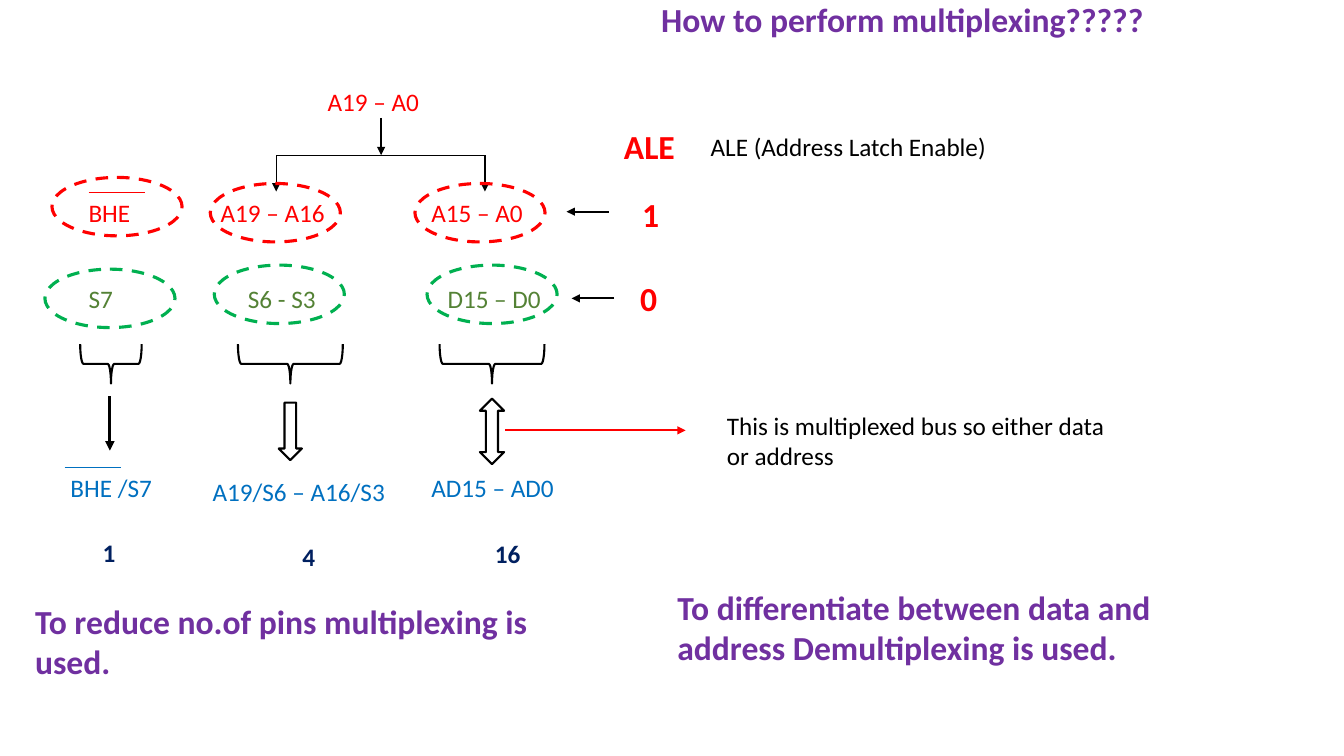
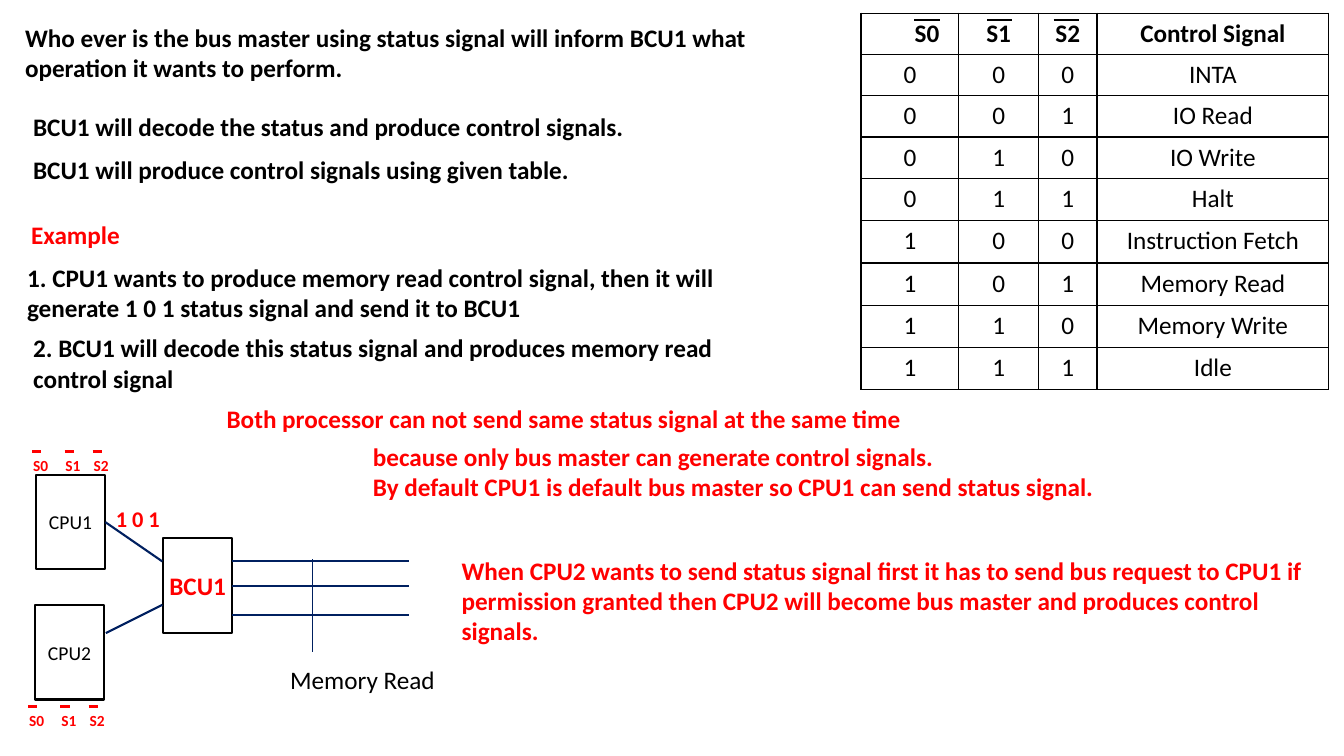
from pptx import Presentation
from pptx.dml.color import RGBColor
from pptx.enum.dml import MSO_LINE
from pptx.enum.shapes import MSO_CONNECTOR, MSO_SHAPE
from pptx.enum.text import MSO_ANCHOR, MSO_AUTO_SIZE, PP_ALIGN
from pptx.oxml.ns import qn
from pptx.util import Inches, Pt
from lxml.etree import SubElement

FONT = "Calibri"
COLOURS = {
    "black": "000000",
    "red": "FF0000",
    "green": "00B050",
    "olive": "548235",
    "blue": "0070C0",
    "navy": "002060",
    "purple": "7030A0",
}
RIGHT_SIDE = 3


def rgb(colour):
    return RGBColor.from_string(COLOURS[colour])


def write(frame, text, size=18, colour="black", bold=False, align=PP_ALIGN.LEFT):
    """Fill a text frame, one paragraph for each line of text."""
    for index, line in enumerate(text.split("\n")):
        para = frame.paragraphs[0] if index == 0 else frame.add_paragraph()
        para.alignment = align
        span = para.add_run()
        span.text = line
        span.font.name = FONT
        span.font.size = Pt(size)
        span.font.bold = bold
        span.font.color.rgb = rgb(colour)


def add_text(page, text, left, top, width, lines=1, wrap=True, size=18, **style):
    """Add a text box whose height follows from its number of lines."""
    height = 0.1 + lines * size * 1.22 / 72
    box = page.shapes.add_textbox(Inches(left), Inches(top), Inches(width), Inches(height))
    box.text_frame.word_wrap = wrap
    box.text_frame.auto_size = MSO_AUTO_SIZE.SHAPE_TO_FIT_TEXT
    write(box.text_frame, text, size=size, **style)


def add_outline(page, kind, centre, size, colour="black", weight=1.5, dash=None, turn=0):
    """Add an unfilled shape around a centre point; size is taken before the turn."""
    (x, y), (width, height) = centre, size
    shape = page.shapes.add_shape(
        kind, Inches(x - width / 2), Inches(y - height / 2), Inches(width), Inches(height))
    shape.shadow.inherit = False
    shape.fill.background()
    shape.line.color.rgb = rgb(colour)
    shape.line.width = Pt(weight)
    if dash:
        shape.line.dash_style = dash
    shape.rotation = turn
    return shape


def add_line(page, start, end, colour="black", weight=1.5, arrow=False, source=None):
    """Draw a line, joined to the right side of the source shape if there is one."""
    line = page.shapes.add_connector(
        MSO_CONNECTOR.STRAIGHT, *(Inches(value) for value in (*start, *end)))
    line.line.color.rgb = rgb(colour)
    line.line.width = Pt(weight)
    if arrow:
        SubElement(line.line._get_or_add_ln(), qn("a:tailEnd"), type="triangle")
    SubElement(line._element.spPr, qn("a:effectLst"))
    if source is not None:
        line.begin_connect(source, RIGHT_SIDE)


def add_chip(page, centre, label, **style):
    chip = add_outline(page, MSO_SHAPE.RECTANGLE, centre, (0.69, 0.94))
    frame = chip.text_frame
    frame.margin_left = frame.margin_right = 0
    frame.vertical_anchor = MSO_ANCHOR.MIDDLE
    write(frame, label, align=PP_ALIGN.CENTER, **style)
    return chip


def add_status_labels(page, left, top):
    """Write S0, S1 and S2, each under an overbar."""
    for label, offset in (("S0", 0), ("S1", 0.32), ("S2", 0.6)):
        x = left + offset
        add_text(page, label, x, top, 0.35, wrap=False, size=11, colour="red", bold=True)
        add_line(page, (x + 0.09, top), (x + 0.18, top), "red", 2.25)


def add_borders(cell):
    properties = cell._tc.get_or_add_tcPr()
    for side in ("lnL", "lnR", "lnT", "lnB"):
        border = SubElement(properties, qn(f"a:{side}"), w=str(Pt(1)))
        fill = SubElement(border, qn("a:solidFill"))
        SubElement(fill, qn("a:srgbClr"), val=COLOURS["black"])


def add_signal_table(page):
    signals = ("INTA", "IO Read", "IO Write", "Halt", "Instruction Fetch",
               "Memory Read", "Memory Write", "Idle")
    rows = [("S0", "S1", "S2", "Control Signal")]
    rows += [(*f"{code:03b}", signal) for code, signal in enumerate(signals)]
    table = page.shapes.add_table(
        len(rows), 4, Inches(8.54), Inches(0.13), Inches(4.64), Inches(3.74)).table
    table.first_row = table.horz_banding = False
    for column, width in zip(table.columns, (0.97, 0.79, 0.58, 2.3)):
        column.width = Inches(width)
    for row_index, values in enumerate(rows):
        table.rows[row_index].height = Inches(0.41 if row_index < 4 else 0.42)
        for column_index, value in enumerate(values):
            cell = table.cell(row_index, column_index)
            add_borders(cell)
            cell.fill.background()
            write(cell.text_frame, value, bold=row_index == 0, align=PP_ALIGN.CENTER)
    table.cell(0, 0).margin_left = Inches(0.44)
    for left in (9.07, 9.79, 10.45):
        add_line(page, (left, 0.2), (left + 0.25, 0.2))


def add_address_split(page):
    """Draw the fork from the full address to its two parts."""
    add_text(page, "A19 – A0", 3.15, 0.81, 1.31, colour="red")
    add_line(page, (3.78, 1.17), (3.78, 1.54), weight=1, arrow=True)
    add_line(page, (2.74, 1.54), (4.81, 1.54), weight=1)
    for x in (2.74, 4.81):
        add_line(page, (x, 1.54), (x, 1.9), weight=1, arrow=True)


def add_pin_groups(page):
    """Show what each group of pins carries, and its shared name and pin count."""
    labels = (
        ("BHE", 0.78, 1.91, 1.31, "red"),
        ("A19 – A16", 2.09, 1.91, 1.31, "red"),
        ("A15 – A0", 4.18, 1.91, 1.31, "red"),
        ("S7", 0.78, 2.76, 1.31, "olive"),
        ("S6 - S3", 2.36, 2.76, 1.31, "olive"),
        ("D15 – D0", 4.34, 2.76, 1.31, "olive"),
        ("BHE /S7", 0.6, 4.64, 1.31, "blue"),
        ("A19/S6 – A16/S3", 2.01, 4.68, 2.25, "blue"),
        ("AD15 – AD0", 4.18, 4.64, 2.25, "blue"),
    )
    for text, left, top, width, colour in labels:
        add_text(page, text, left, top, width, colour=colour)
    for count, left, top in (("1", 0.92, 5.28), ("4", 2.9, 5.32), ("16", 4.81, 5.29)):
        add_text(page, count, left, top, 0.46, colour="navy", bold=True)

    ovals = {
        "red": ((1.16, 2.05), (2.73, 2.11), (4.76, 2.11)),
        "green": ((1.09, 2.96), (2.77, 2.92), (4.88, 2.92)),
    }
    for colour, centres in ovals.items():
        for centre in centres:
            add_outline(page, MSO_SHAPE.OVAL, centre, (0.58, 1.29), colour, 2.25,
                        dash=MSO_LINE.DASH, turn=90)
    for x, span_width in ((1.1, 0.61), (2.88, 1.04), (4.88, 1.04)):
        add_outline(page, MSO_SHAPE.RIGHT_BRACE, (x, 3.61), (0.39, span_width), turn=90)

    add_line(page, (0.88, 1.91), (1.44, 1.91), "red", 1)
    add_line(page, (0.64, 4.64), (1.2, 4.64), "blue", 1)
    add_line(page, (1.09, 3.93), (1.09, 4.47), weight=2.25, arrow=True)
    add_outline(page, MSO_SHAPE.DOWN_ARROW, (2.88, 4.28), (0.23, 0.57))
    add_outline(page, MSO_SHAPE.UP_DOWN_ARROW, (4.88, 4.28), (0.24, 0.65))


def build_multiplexing(page):
    add_text(page, "How to perform multiplexing?????", 6.46, -0.06, 5.36,
             size=24, colour="purple", bold=True)
    add_address_split(page)
    add_pin_groups(page)

    for text, left, top, width in (
            ("ALE", 6.09, 1.2, 0.71), ("1", 6.27, 1.87, 0.37), ("0", 6.25, 2.71, 0.37)):
        add_text(page, text, left, top, width, wrap=False, size=24, colour="red", bold=True)
    for x, y in ((6.04, 2.1), (6.09, 2.96)):
        add_line(page, (x, y), (x - 0.42, y), arrow=True)
    add_text(page, "ALE (Address Latch Enable)", 6.95, 1.25, 3.2)

    add_line(page, (5.01, 4.27), (6.8, 4.27), "red", arrow=True)
    add_text(page, "This is multiplexed bus so either data or address", 7.11, 4.02, 4.05, lines=2)
    for text, left, top in (
            ("To reduce no.of pins multiplexing is used.", 0.25, 5.91),
            ("To differentiate between data and address Demultiplexing is used.", 6.62, 5.77)):
        add_text(page, text, left, top, 5.84, lines=2, size=24, colour="purple", bold=True)


def add_bus_diagram(page):
    first = add_chip(page, (0.7, 5.18), "CPU1", size=14)
    add_chip(page, (0.69, 6.47), "CPU2", size=14)
    controller = add_chip(page, (1.96, 5.81), "BCU1", colour="red", bold=True)
    add_line(page, (1.05, 5.18), (1.61, 5.57), "navy", source=first)
    add_line(page, (1.05, 6.28), (1.61, 6), "navy")
    for y, source in ((5.57, None), (5.81, controller), (6.1, None)):
        add_line(page, (2.3, y), (4.06, y), "navy", source=source)
    add_line(page, (3.1, 5.55), (3.1, 6.47), "navy", 0.5)
    add_text(page, "1 0 1", 1.05, 4.96, 0.7, wrap=False, size=16, colour="red", bold=True)
    add_text(page, "Memory Read", 2.77, 6.54, 1.65, wrap=False, align=PP_ALIGN.CENTER)
    add_status_labels(page, 0.23, 4.48)
    add_status_labels(page, 0.19, 7.01)


def build_control_signals(page):
    add_signal_table(page)
    statements = (
        ("Who ever is the bus master using status signal will inform BCU1 what operation "
         "it wants to perform.", 0.15, 0.17, 7.45, 2, "black"),
        ("BCU1 will decode the status and produce control signals.", 0.23, 1.06, 7.45, 1, "black"),
        ("BCU1 will produce control signals using given table.", 0.23, 1.48, 7.45, 1, "black"),
        ("Example", 0.21, 2.13, 1.4, 1, "red"),
        ("1. CPU1 wants to produce memory read control signal, then it will generate 1 0 1 "
         "status signal and send it to BCU1", 0.17, 2.55, 7.45, 2, "black"),
        ("2. BCU1 will decode this status signal and produces memory read control signal",
         0.23, 3.25, 7.45, 2, "black"),
        ("Both processor can not send same status signal at the same time",
         2.15, 3.95, 8.6, 1, "red"),
        ("because only bus master can generate control signals.\n"
         "By default CPU1 is default bus master so CPU1 can send status signal.",
         3.6, 4.33, 8.39, 2, "red"),
        ("When CPU2 wants to send status signal first it has to send bus request to CPU1 if "
         "permission granted then CPU2 will become bus master and produces control signals.",
         4.48, 5.46, 8.6, 3, "red"),
    )
    for text, left, top, width, lines, colour in statements:
        add_text(page, text, left, top, width, lines=lines, colour=colour, bold=True)
    add_bus_diagram(page)


def main():
    deck = Presentation()
    deck.slide_width, deck.slide_height = Inches(13.33), Inches(7.5)
    blank = deck.slide_layouts[6]
    for build in (build_multiplexing, build_control_signals):
        build(deck.slides.add_slide(blank))
    deck.save("out.pptx")


if __name__ == "__main__":
    main()
